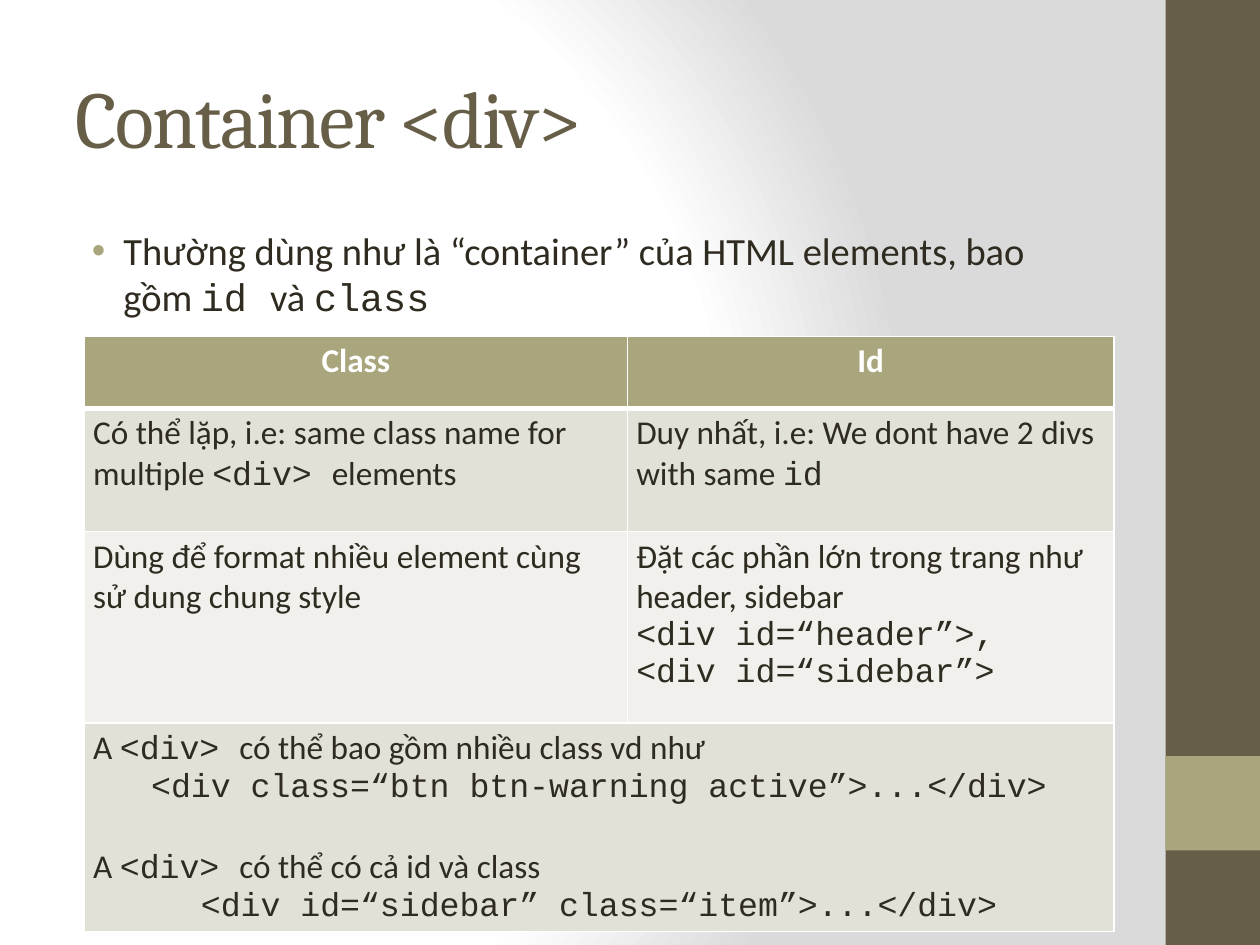
from pptx import Presentation
from pptx.dml.color import RGBColor
from pptx.enum.shapes import MSO_SHAPE
from pptx.enum.text import MSO_ANCHOR, MSO_AUTO_SIZE, PP_ALIGN
from pptx.oxml import parse_xml
from pptx.oxml.ns import nsdecls
from pptx.util import Inches, Pt

RECTANGLE = MSO_SHAPE.RECTANGLE
MIDDLE, TOP = MSO_ANCHOR.MIDDLE, MSO_ANCHOR.TOP
LEFT, CENTER = PP_ALIGN.LEFT, PP_ALIGN.CENTER
NO_AUTOFIT = MSO_AUTO_SIZE.NONE

BROWN = RGBColor(0x67, 0x5E, 0x47)
OLIVE = RGBColor(0xA9, 0xA5, 0x7C)
INK = RGBColor(0x2F, 0x2B, 0x20)
WHITE = RGBColor(0xFF, 0xFF, 0xFF)
GRAY = RGBColor(0xDA, 0xDA, 0xDA)
BAND_DARK = RGBColor(0xE2, 0xE1, 0xD7)
BAND_LIGHT = RGBColor(0xF1, 0xF0, 0xEC)

TITLE_FONT, TEXT_FONT, CODE_FONT = "Cambria", "Calibri", "Courier New"
TABLE_SIZE = 19

# A line is a list of pieces that alternate between text and code
COLUMN_WIDTHS = [4.31, 3.86]
ROW_HEIGHTS = [0.57, 0.98, 1.52, 1.63]
ROW_FILLS = [OLIVE, BAND_DARK, BAND_LIGHT, BAND_DARK]
HEADINGS = ["Class", "Id"]
COMPARISON = [
    [
        [["Có thể lặp, i.e: same class name for multiple ", "<div> ", "elements"]],
        [["Duy nhất, i.e: We dont have 2 divs with same ", "id"]],
    ],
    [
        [["Dùng để format nhiều element cùng sử dung chung style"]],
        [
            ["Đặt các phần lớn trong trang như header, sidebar"],
            ["", "<div id=“header”>,"],
            ["", "<div id=“sidebar”>"],
        ],
    ],
]
EXAMPLES = [
    ["A ", "<div> ", "có thể bao gồm nhiều class vd như"],
    ["", "<div class=“btn btn-warning active”>...</div>"],
    ["A ", "<div> ", "có thể có cả id và class"],
    ["", "<div id=“sidebar” class=“item”>...</div>"],
]


def style_run(run, font, size, color, bold=False):
    run.font.name = font
    run.font.size = Pt(size)
    run.font.color.rgb = color
    run.font.bold = bold


def write_line(paragraph, pieces, size, color=INK, bold=False):
    for index, piece in enumerate(pieces):
        if piece:
            run = paragraph.add_run()
            run.text = piece
            font = CODE_FONT if index % 2 else TEXT_FONT
            style_run(run, font, size, color, bold)


def set_background(slide):
    stops = "".join(
        f'<a:gs pos="{pos * 1000}"><a:srgbClr val="{color}"/></a:gs>'
        for pos, color in [(0, WHITE), (75, WHITE), (100, GRAY)]
    )
    slide.element.cSld.insert(0, parse_xml(
        f'<p:bg {nsdecls("p", "a")}><p:bgPr><a:gradFill rotWithShape="1">'
        f'<a:gsLst>{stops}</a:gsLst><a:path path="circle">'
        '<a:fillToRect l="20000" t="50000" r="100000" b="50000"/></a:path>'
        '</a:gradFill><a:effectLst/></p:bgPr></p:bg>'
    ))


def add_side_block(slide, top, height, color):
    block = slide.shapes.add_shape(
        RECTANGLE, Inches(9.25), Inches(top), Inches(0.75), Inches(height))
    block.shadow.inherit = False
    block.fill.solid()
    block.fill.fore_color.rgb = color
    block.line.fill.background()


def place(placeholder, top, height, anchor):
    placeholder.left, placeholder.top = Inches(0.5), Inches(top)
    placeholder.width, placeholder.height = Inches(8.33), Inches(height)
    frame = placeholder.text_frame
    frame.word_wrap = True
    frame.auto_size = NO_AUTOFIT
    frame.vertical_anchor = anchor
    return frame


def fill_title(title):
    frame = place(title, 0.3, 1.25, MIDDLE)
    frame.text = "Container <div>"
    paragraph = frame.paragraphs[0]
    paragraph.alignment = LEFT
    run = paragraph.runs[0]
    style_run(run, TITLE_FONT, 46, BROWN)
    run.font._element.set("spc", "-100")


def fill_body(body):
    paragraph = place(body, 1.75, 5.25, TOP).paragraphs[0]
    paragraph.space_before = Pt(4.4)
    properties = paragraph._p.get_or_add_pPr()
    properties.set("marL", str(Inches(0.38)))
    properties.set("indent", str(Inches(-0.25)))
    for bullet in (
        f'<a:buClr {nsdecls("a")}><a:srgbClr val="{OLIVE}"/></a:buClr>',
        f'<a:buFont {nsdecls("a")} typeface="Arial"/>',
        f'<a:buChar {nsdecls("a")} char="•"/>',
    ):
        properties.append(parse_xml(bullet))
    write_line(paragraph, [
        "Thường dùng như là “container” của HTML elements, bao gồm ",
        "id ", "và ", "class"], 22)


def format_cell(cell, color, bottom_width):
    cell.margin_left = cell.margin_right = Inches(0.07)
    cell.margin_top = cell.margin_bottom = Inches(0.04)
    properties = cell._tc.get_or_add_tcPr()
    for side in "LRTB":
        width = Pt(bottom_width if side == "B" else 1)
        properties.append(parse_xml(
            f'<a:ln{side} {nsdecls("a")} w="{width}"><a:solidFill>'
            f'<a:srgbClr val="{WHITE}"/></a:solidFill></a:ln{side}>'))
    cell.fill.solid()
    cell.fill.fore_color.rgb = color


def write_cell(cell, lines):
    frame = cell.text_frame
    for index, pieces in enumerate(lines):
        paragraph = frame.add_paragraph() if index else frame.paragraphs[0]
        write_line(paragraph, pieces, TABLE_SIZE)


def add_comparison(slide):
    table = slide.shapes.add_table(
        len(ROW_HEIGHTS), len(COLUMN_WIDTHS), Inches(0.67), Inches(2.67),
        Inches(sum(COLUMN_WIDTHS)), Inches(sum(ROW_HEIGHTS))).table
    for column, width in zip(table.columns, COLUMN_WIDTHS):
        column.width = Inches(width)
    for index, (row, height) in enumerate(zip(table.rows, ROW_HEIGHTS)):
        row.height = Inches(height)
        for cell in row.cells:
            format_cell(cell, ROW_FILLS[index], 1 if index else 3)

    # Header and comparison rows
    for column, heading in enumerate(HEADINGS):
        paragraph = table.cell(0, column).text_frame.paragraphs[0]
        paragraph.alignment = CENTER
        write_line(paragraph, [heading], TABLE_SIZE, WHITE, True)
    for row, entries in enumerate(COMPARISON, start=1):
        for column, lines in enumerate(entries):
            write_cell(table.cell(row, column), lines)

    # Examples across both columns, the second pair set apart
    examples = table.cell(3, 0)
    examples.merge(table.cell(3, 1))
    write_cell(examples, EXAMPLES)
    paragraphs = examples.text_frame.paragraphs
    for code_line in paragraphs[1::2]:
        code_line.alignment = CENTER
    paragraphs[2].space_before = Pt(23)


def main():
    presentation = Presentation()
    presentation.slide_width, presentation.slide_height = Inches(10), Inches(7.5)
    slide = presentation.slides.add_slide(presentation.slide_layouts[1])
    set_background(slide)
    add_side_block(slide, 0, 7.5, BROWN)
    add_side_block(slide, 6, 0.75, OLIVE)
    fill_title(slide.shapes.title)
    fill_body(slide.placeholders[1])
    add_comparison(slide)
    presentation.save("out.pptx")


if __name__ == "__main__":
    main()
